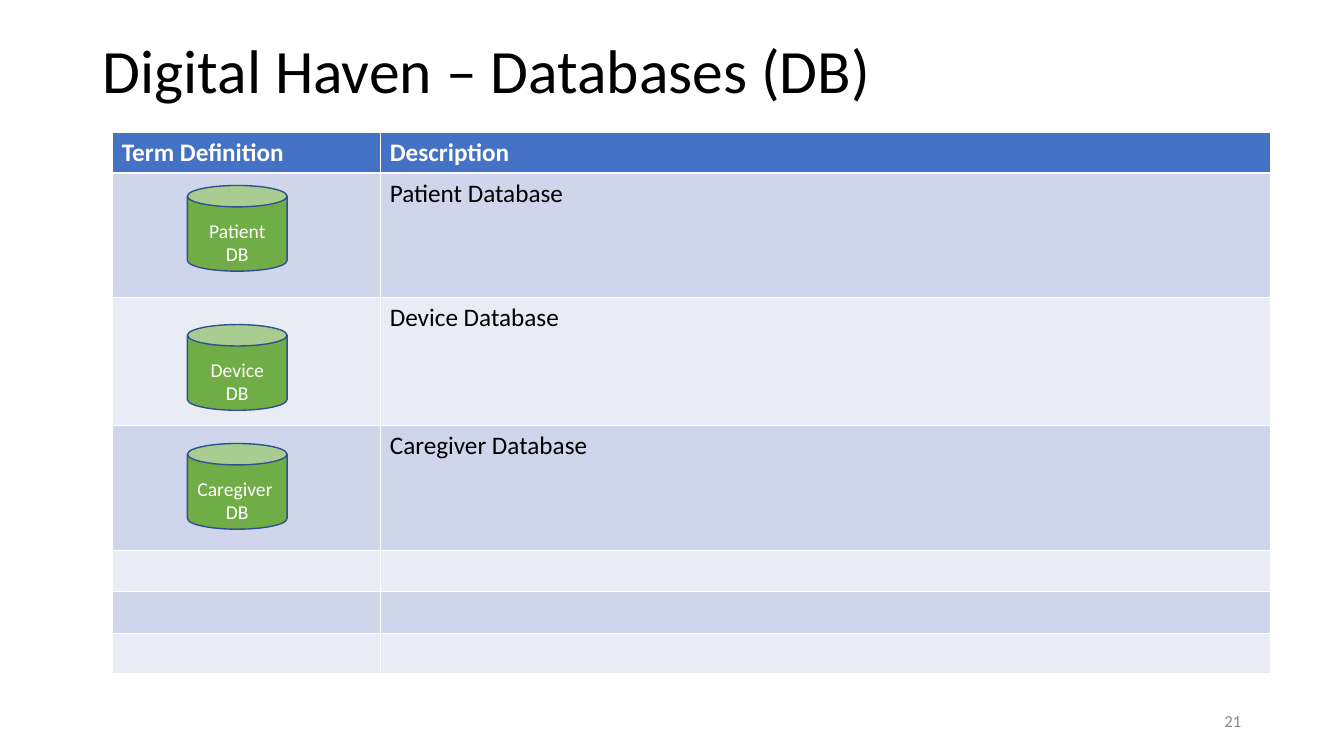
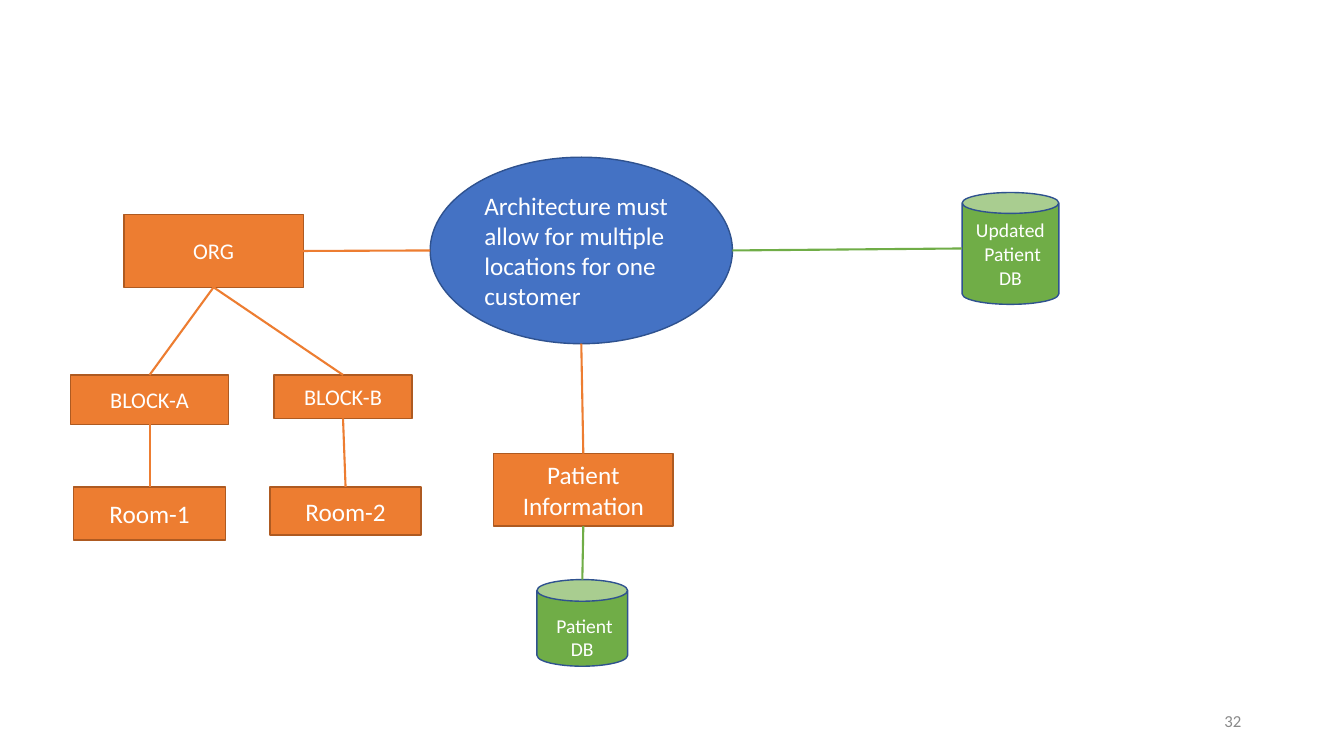
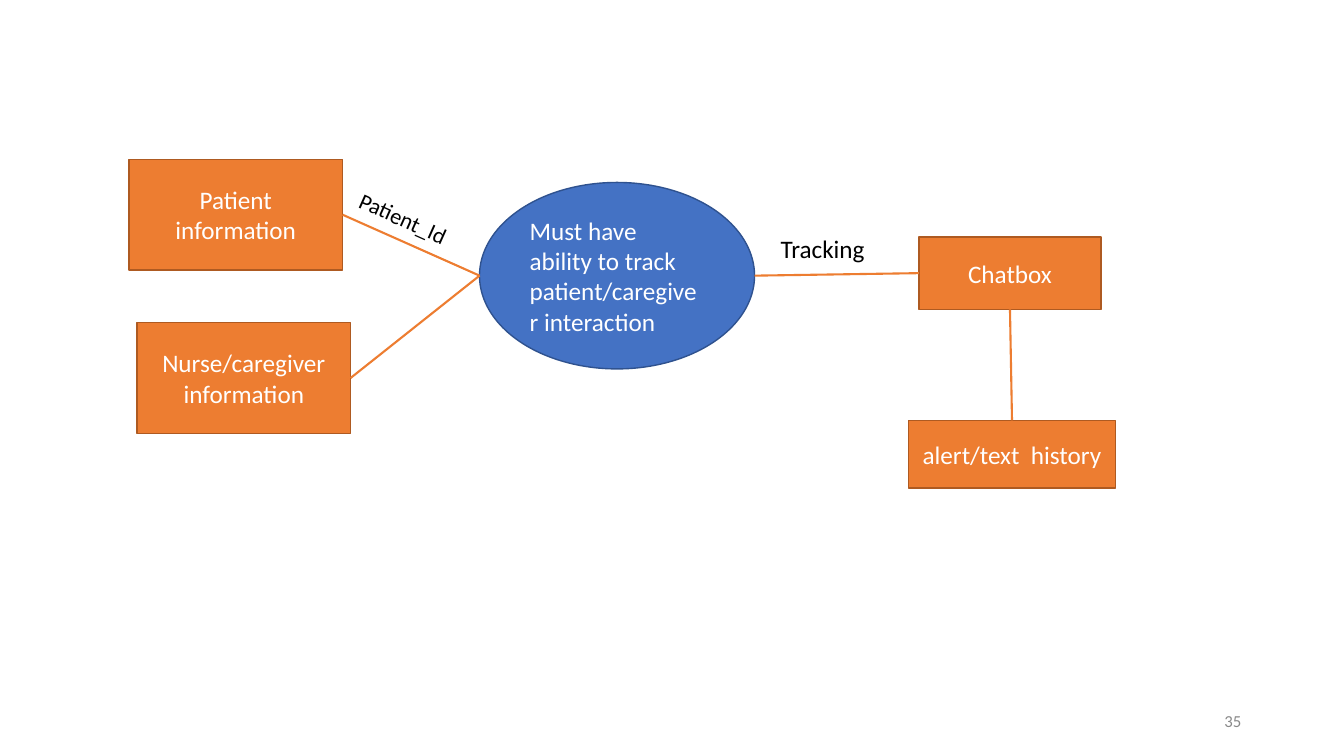
"""Build three slides on care databases and system architecture."""
from lxml import etree
from pptx import Presentation
from pptx.dml.color import RGBColor
from pptx.enum.shapes import MSO_CONNECTOR, MSO_SHAPE
from pptx.enum.text import MSO_ANCHOR, PP_ALIGN
from pptx.oxml.ns import qn
from pptx.util import Inches, Pt

RECT, OVAL, CAN = MSO_SHAPE.RECTANGLE, MSO_SHAPE.OVAL, MSO_SHAPE.CAN
STRAIGHT = MSO_CONNECTOR.STRAIGHT
LEFT, CENTER, RIGHT = PP_ALIGN.LEFT, PP_ALIGN.CENTER, PP_ALIGN.RIGHT
MIDDLE, TOP_ANCHOR = MSO_ANCHOR.MIDDLE, MSO_ANCHOR.TOP
TOP, WEST, BOTTOM, EAST = range(4)
TITLE_ONLY, BLANK = 5, 6
FONT = "Calibri"
COLORS = {
    "blue": "4472C4", "blue_line": "2F528F",
    "orange": "ED7D31", "orange_line": "AE5A21",
    "green": "70AD47", "band_dark": "CFD5EA", "band_light": "E9EBF5",
    "white": "FFFFFF", "black": "000000", "gray": "898989",
}


def rgb(name):
    """Return the named colour."""
    return RGBColor.from_string(COLORS[name])


def inches(values):
    """Convert numbers to lengths in inches."""
    return [Inches(v) for v in values]


def write(tf, lines, size, color, align=LEFT, bold=False):
    """Write one paragraph per line into a text frame."""
    for i, line in enumerate(lines):
        p = tf.add_paragraph() if i else tf.paragraphs[0]
        p.alignment = align
        r = p.add_run()
        r.text = line
        r.font.name, r.font.size, r.font.bold = FONT, Pt(size), bold
        r.font.color.rgb = rgb(color)


def add_label(slide, at, text, size, color="black", align=LEFT,
              anchor=TOP_ANCHOR, rotation=0):
    """Add a text box."""
    sp = slide.shapes.add_textbox(*inches(at))
    sp.rotation = rotation
    tf = sp.text_frame
    tf.word_wrap = True
    tf.vertical_anchor = anchor
    write(tf, [text], size, color, align)


def add_slide(prs, layout, number):
    """Add a slide with its page number."""
    slide = prs.slides.add_slide(prs.slide_layouts[layout])
    add_label(slide, (9.42, 6.95, 3, 0.4), str(number), 12, "gray", RIGHT, MIDDLE)
    return slide


def add_title(slide, text):
    """Place and format the slide title."""
    sp = slide.shapes.title
    sp.left, sp.top, sp.width, sp.height = inches((0.92, 0.4, 11.5, 0.66))
    tf = sp.text_frame
    tf.vertical_anchor = MIDDLE
    write(tf, [text], 44, "black")
    tf.paragraphs[0].line_spacing = 0.9


def add_node(slide, kind, at, lines, size, fill, line, align=CENTER):
    """Add a filled, outlined shape with white text."""
    sp = slide.shapes.add_shape(kind, *inches(at))
    sp.shadow.inherit = False
    sp.fill.solid()
    sp.fill.fore_color.rgb = rgb(fill)
    sp.line.color.rgb = rgb(line)
    sp.line.width = Pt(1)
    sp.text_frame.vertical_anchor = MIDDLE
    write(sp.text_frame, lines, size, "white", align)
    return sp


def add_box(slide, at, text, size=18):
    """Add an orange entity box."""
    return add_node(slide, RECT, at, [text], size, "orange", "orange_line")


def add_requirement(slide, at, text):
    """Add a blue requirement ellipse."""
    return add_node(slide, OVAL, at, [text], 18, "blue", "blue_line", LEFT)


def add_database(slide, at, *lines, adj=0.25, inset=0.22):
    """Add a green database cylinder."""
    sp = add_node(slide, CAN, at, lines, 14, "green", "blue_line")
    sp.adjustments[0] = adj
    sp.text_frame.margin_top = Inches(inset)
    return sp


def side_point(sp, side):
    """Return the middle of a side of a shape."""
    x, y = sp.left + sp.width // 2, sp.top + sp.height // 2
    return {TOP: (x, sp.top), WEST: (sp.left, y),
            BOTTOM: (x, sp.top + sp.height), EAST: (sp.left + sp.width, y)}[side]


def connect(slide, start, start_side, end, end_side, color="orange"):
    """Join the sides of two shapes with a straight line."""
    line = slide.shapes.add_connector(
        STRAIGHT, *side_point(start, start_side), *side_point(end, end_side))
    if start.auto_shape_type == RECT:
        line.begin_connect(start, start_side)
    if end.auto_shape_type == RECT:
        line.end_connect(end, end_side)
    line.line.color.rgb = rgb(color)
    line.line.width = Pt(1.5)
    etree.SubElement(line._element.spPr, qn("a:effectLst"))


def set_borders(cell, top, bottom):
    """Give a cell white borders of the given top and bottom widths."""
    tc_pr = cell._tc.get_or_add_tcPr()
    for tag, width in (("lnL", 0.45), ("lnR", 0.45), ("lnT", top), ("lnB", bottom)):
        ln = etree.SubElement(tc_pr, qn("a:" + tag), w=str(Pt(width)))
        fill = etree.SubElement(ln, qn("a:solidFill"))
        etree.SubElement(fill, qn("a:srgbClr"), val=COLORS["white"])


def add_banded_table(slide, at, widths, heights, rows):
    """Add a table with a blue header and banded rows."""
    table = slide.shapes.add_table(len(rows), len(widths), *inches(at)).table
    for column, width in zip(table.columns, inches(widths)):
        column.width = width
    for row, height in zip(table.rows, inches(heights)):
        row.height = height
    for i, texts in enumerate(rows):
        fill = "blue" if i == 0 else "band_dark" if i % 2 else "band_light"
        for j, text in enumerate(texts):
            cell = table.cell(i, j)
            set_borders(cell, 1.47 if i == 1 else 0.45, 1.47 if i == 0 else 0.45)
            cell.fill.solid()
            cell.fill.fore_color.rgb = rgb(fill)
            if text:
                write(cell.text_frame, [text], 18,
                      "black" if i else "white", bold=i == 0)


def build_databases(prs):
    """Build the table of databases."""
    slide = add_slide(prs, TITLE_ONLY, 21)
    add_title(slide, "Digital Haven – Databases (DB)")
    rows = [("Term Definition", "Description"), ("", "Patient Database"),
            ("", "Device Database"), ("", "Caregiver Database")] + [("", "")] * 3
    add_banded_table(slide, (1.11, 1.31, 11.5, 5.36), (2.66, 8.84),
                     (0.41, 1.23, 1.27, 1.24, 0.41, 0.41, 0.4), rows)
    for top, lines in ((1.84, ["Patient DB"]), (3.22, ["Device DB"]),
                       (4.4, ["Caregiver ", "DB"])):
        add_database(slide, (1.86, top, 0.99, 0.85), *lines)


def build_locations(prs):
    """Build the diagram of customer locations."""
    slide = add_slide(prs, BLANK, 32)
    need = add_requirement(
        slide, (4.27, 1.56, 3, 1.85),
        "Architecture must allow for multiple locations for one customer")
    org = add_box(slide, (1.23, 2.13, 1.78, 0.72), "ORG", 16)
    block_a = add_box(slide, (0.7, 3.72, 1.57, 0.49), "BLOCK-A", 16)
    block_b = add_box(slide, (2.72, 3.72, 1.37, 0.43), "BLOCK-B", 16)
    room_1 = add_box(slide, (0.73, 4.83, 1.51, 0.53), "Room-1")
    room_2 = add_box(slide, (2.68, 4.83, 1.5, 0.48), "Room-2")
    patient = add_box(slide, (4.9, 4.5, 1.78, 0.72), "Patient Information")
    patient_db = add_database(slide, (5.33, 5.75, 0.9, 0.86), " Patient DB")
    updated_db = add_database(slide, (9.55, 1.91, 0.96, 1.11), "Updated",
                              " Patient DB", adj=0.216, inset=0.05)
    connect(slide, org, EAST, need, WEST)
    for upper, lower in ((org, block_a), (org, block_b), (block_a, room_1),
                         (block_b, room_2), (need, patient)):
        connect(slide, upper, BOTTOM, lower, TOP)
    connect(slide, patient, BOTTOM, patient_db, TOP, "green")
    connect(slide, need, EAST, updated_db, WEST, "green")


def build_tracking(prs):
    """Build the diagram of interaction tracking."""
    slide = add_slide(prs, BLANK, 35)
    need = add_requirement(
        slide, (4.76, 1.81, 2.73, 1.85),
        "Must have ability to track patient/caregiver interaction")
    patient = add_box(slide, (1.28, 1.58, 2.12, 1.1), "Patient information")
    nurse = add_box(slide, (1.36, 3.2, 2.12, 1.1), "Nurse/caregiver information")
    chat = add_box(slide, (9.12, 2.35, 1.81, 0.72), "Chatbox")
    history = add_box(slide, (9.02, 4.17, 2.05, 0.67), "alert/text  history")
    connect(slide, need, WEST, patient, EAST)
    connect(slide, need, WEST, nurse, EAST)
    connect(slide, need, EAST, chat, WEST)
    connect(slide, history, TOP, chat, BOTTOM)
    add_label(slide, (3.43, 2.05, 1.46, 0.37), "Patient_Id", 16, rotation=24.2)
    add_label(slide, (7.65, 2.27, 1.14, 0.4), "Tracking", 18)


def main():
    """Build and save the presentation."""
    prs = Presentation()
    prs.slide_width, prs.slide_height = inches((13.34, 7.5))
    build_databases(prs)
    build_locations(prs)
    build_tracking(prs)
    prs.save("out.pptx")


if __name__ == "__main__":
    main()
